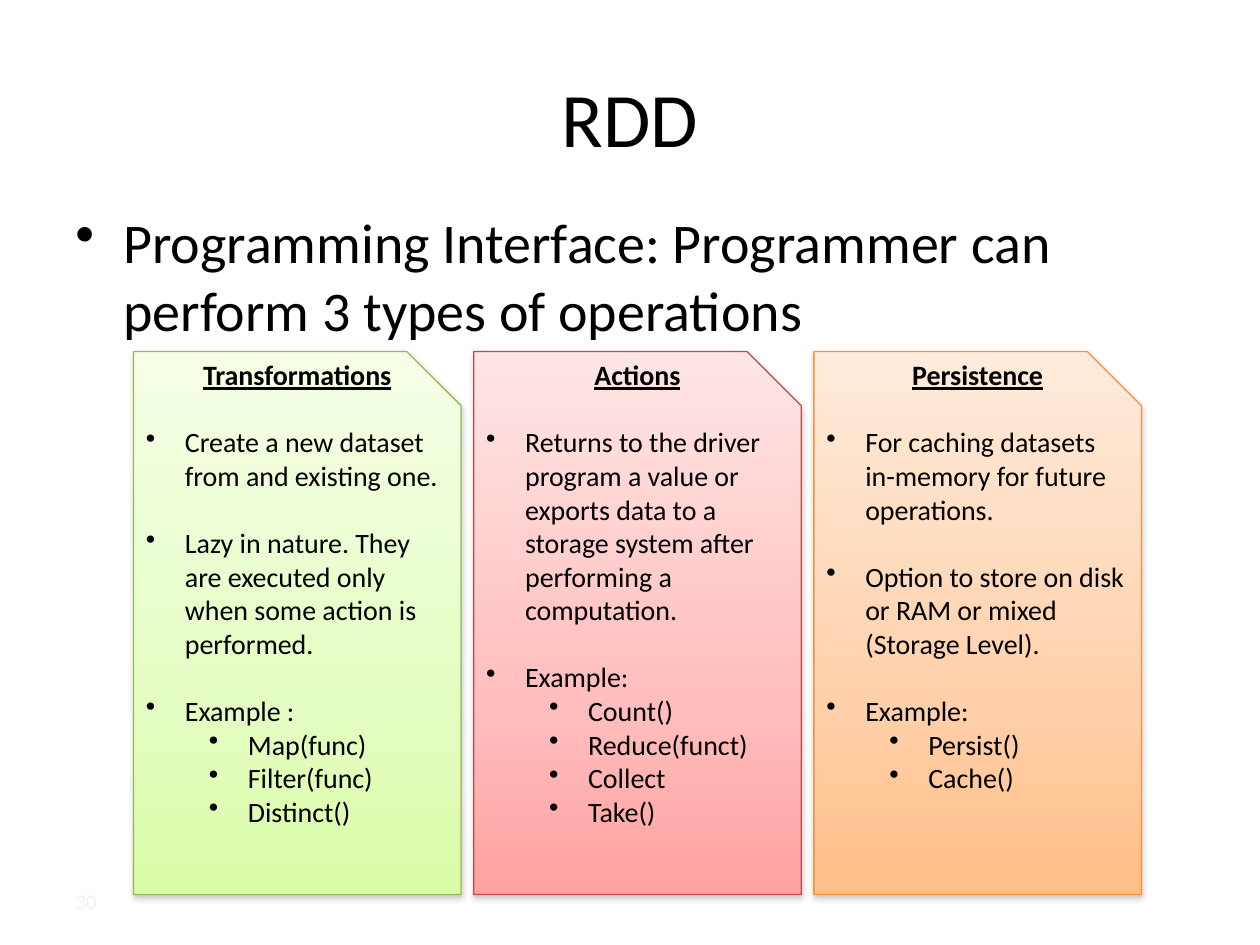
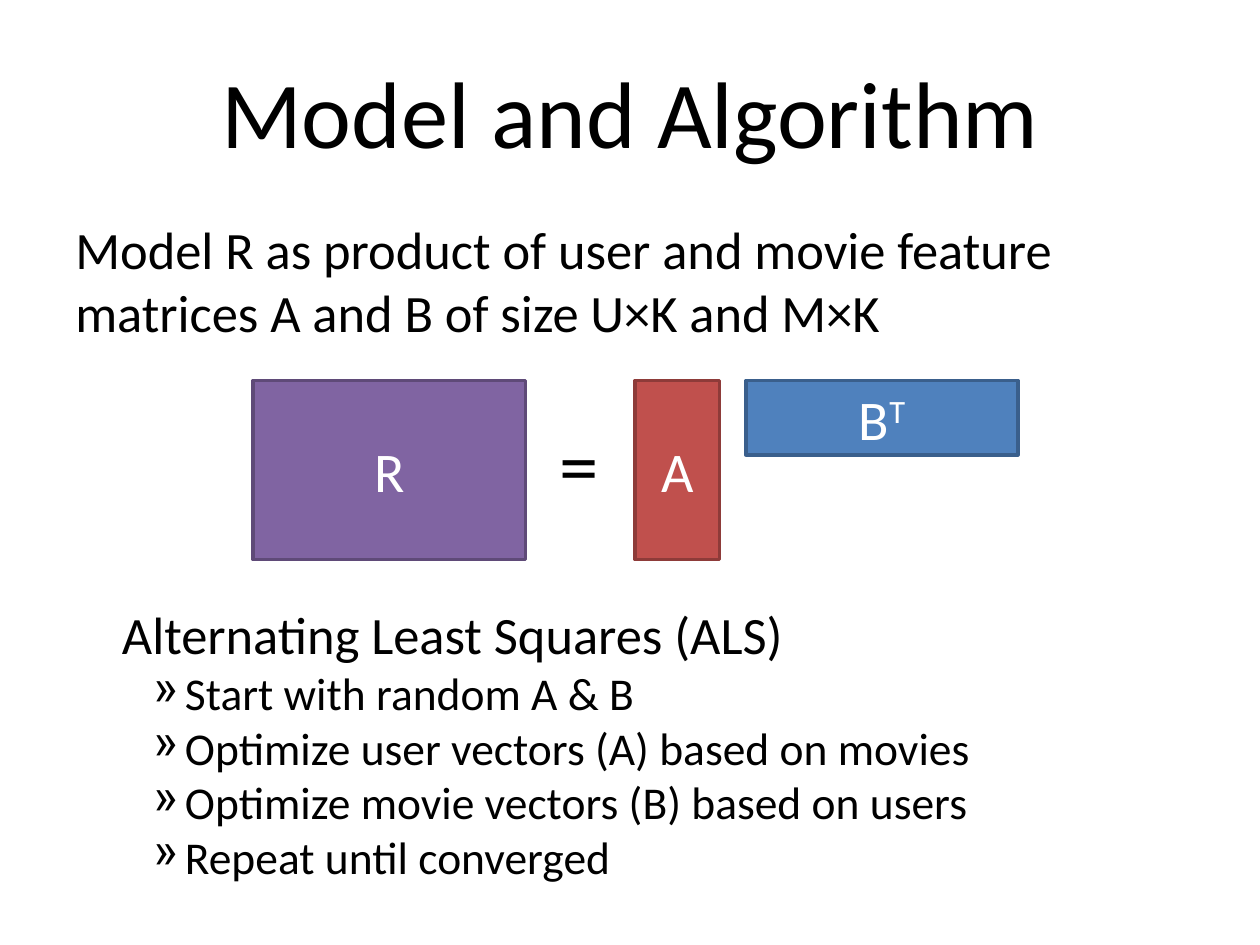
"""Build two slides: RDD operations and the ALS matrix factorisation model."""
from copy import deepcopy
from dataclasses import dataclass

from lxml import etree
from pptx import Presentation
from pptx.dml.color import RGBColor
from pptx.enum.shapes import MSO_SHAPE
from pptx.enum.text import MSO_ANCHOR, PP_ALIGN
from pptx.oxml.ns import qn
from pptx.util import Inches, Pt

RECT = MSO_SHAPE.RECTANGLE
TOP, MIDDLE = MSO_ANCHOR.TOP, MSO_ANCHOR.MIDDLE
LEFT, CENTER = PP_ALIGN.LEFT, PP_ALIGN.CENTER

FONT = "Calibri"
TITLE_ONLY = 5
COLORS = {
    "text": "000000",
    "white": "FFFFFF",
    "number": "F2F2F2",
    "shadow": "808080",
    "purple": "8064A2",
    "purple_line": "5F4A78",
    "red": "C0504D",
    "red_line": "8E3B39",
    "blue": "4F81BD",
    "blue_line": "3A5F8C",
    "card_green": "98B954",
    "card_red": "BE4B48",
    "card_orange": "F69240",
}
GRADIENTS = {
    "card_green": ("F5FFE6", "E4FDC2", "DAFDA7"),
    "card_red": ("FFE5E5", "FFBEBD", "FFA2A1"),
    "card_orange": ("FFEBDB", "FFD0AA", "FFBE86"),
}
GRADIENT_POSITIONS = (0, 0.65, 1)

CARD_LEFT, CARD_TOP, CARD_STEP = 1.06, 2.79, 2.7
CARD_WIDTH, CARD_HEIGHT, CARD_SNIP = 2.6, 4.31, 0.43
CARD_SIZE, CARD_GAP = 16, 19.2
MATRIX_TOP = 3.02


@dataclass
class Para:
    text: str
    size: float
    margin: float = 0
    hang: float = 0
    bullet: str = ""
    before: float = 0
    align: PP_ALIGN = LEFT
    heading: bool = False
    color: str = "text"


@dataclass
class Card:
    heading: str
    color: str
    points: list[str]
    examples: list[str]


@dataclass
class Matrix:
    name: str
    power: str
    color: str
    left: float
    width: float
    height: float


CARDS = [
    Card("Transformations", "card_green",
         ["Create a new dataset from and existing one.",
          "Lazy in nature. They are executed only when some action is performed.",
          "Example :"],
         ["Map(func)", "Filter(func)", "Distinct()"]),
    Card("Actions", "card_red",
         ["Returns to the driver program a value or exports data to a storage system "
          "after performing a computation.",
          "Example:"],
         ["Count()", "Reduce(funct)", "Collect", "Take()"]),
    Card("Persistence", "card_orange",
         ["For caching datasets in-memory for future operations.",
          "Option to store on disk or RAM or mixed (Storage Level).",
          "Example:"],
         ["Persist()", "Cache()"]),
]
MATRICES = [
    Matrix("R", "", "purple", 2.01, 2.16, 1.42),
    Matrix("A", "", "red", 5.04, 0.67, 1.42),
    Matrix("B", "T", "blue", 5.92, 2.16, 0.59),
]
ALS_STEPS = [
    "Start with random A & B",
    "Optimize user vectors (A) based on movies",
    "Optimize movie vectors (B) based on users",
    "Repeat until converged",
]


def rgb(name: str) -> RGBColor:
    return RGBColor.from_string(COLORS[name])


def style_runs(p, size: float, color: str, heading: bool = False) -> None:
    for r in p.runs:
        r.font.name = FONT
        r.font.size = Pt(size)
        r.font.color.rgb = rgb(color)
        r.font.bold = r.font.underline = heading


def write_paras(tf, paras: list[Para], anchor: MSO_ANCHOR = TOP, wrap: bool = True) -> None:
    tf.word_wrap = wrap
    tf.vertical_anchor = anchor
    for i, para in enumerate(paras):
        p = tf.add_paragraph() if i else tf.paragraphs[0]
        p.text = para.text
        p.alignment = para.align
        if para.before:
            p.space_before = Pt(para.before)
        if para.bullet:
            pPr = p._p.get_or_add_pPr()
            pPr.set("marL", str(Inches(para.margin)))
            pPr.set("indent", str(-Inches(para.hang)))
            etree.SubElement(pPr, qn("a:buChar")).set("char", para.bullet)
        style_runs(p, para.size, para.color, para.heading)


def add_text(s, left: float, top: float, width: float, height: float,
             paras: list[Para], anchor: MSO_ANCHOR = TOP, wrap: bool = True) -> None:
    box = s.shapes.add_textbox(Inches(left), Inches(top), Inches(width), Inches(height))
    write_paras(box.text_frame, paras, anchor, wrap)


def add_slide(prs, title: str, top: float, size: float):
    s = prs.slides.add_slide(prs.slide_layouts[TITLE_ONLY])
    sp = s.shapes.title
    sp.left, sp.top, sp.width, sp.height = Inches(0.5), Inches(top), Inches(9), Inches(1.25)
    write_paras(sp.text_frame, [Para(title, size, align=CENTER)], MIDDLE)
    return s


def add_shadow(sp) -> None:
    sp.shadow.inherit = False
    effects = sp._element.spPr.find(qn("a:effectLst"))
    shadow = etree.SubElement(effects, qn("a:outerShdw"), blurRad=str(Pt(3.1)),
                              dist=str(Pt(1.6)), dir="5400000", rotWithShape="0")
    color = etree.SubElement(shadow, qn("a:srgbClr"), val=COLORS["shadow"])
    etree.SubElement(color, qn("a:alpha"), val="38000")


def fill_gradient(sp, colors: tuple[str, ...]) -> None:
    sp.fill.gradient()
    sp.fill.gradient_angle = 270
    stop_list = sp._element.spPr.find(".//" + qn("a:gsLst"))
    stop_list.append(deepcopy(stop_list[0]))
    for stop, position, color in zip(sp.fill.gradient_stops, GRADIENT_POSITIONS, colors):
        stop.position = position
        stop.color.rgb = RGBColor.from_string(color)


def add_card(s, card: Card, left: float) -> None:
    right, bottom = left + CARD_WIDTH, CARD_TOP + CARD_HEIGHT
    corners = [(right - CARD_SNIP, CARD_TOP), (right, CARD_TOP + CARD_SNIP),
               (right, bottom), (left, bottom)]
    builder = s.shapes.build_freeform(Inches(left), Inches(CARD_TOP))
    builder.add_line_segments([(Inches(x), Inches(y)) for x, y in corners])
    sp = builder.convert_to_shape()
    fill_gradient(sp, GRADIENTS[card.color])
    sp.line.color.rgb = rgb(card.color)
    sp.line.width = Pt(0.75)
    add_shadow(sp)
    paras = [Para(card.heading, CARD_SIZE, align=CENTER, heading=True)]
    paras += [Para(t, CARD_SIZE, 0.31, 0.31, "•", CARD_GAP) for t in card.points]
    paras += [Para(t, CARD_SIZE, 0.81, 0.31, "•") for t in card.examples]
    write_paras(sp.text_frame, paras)


def add_matrix(s, matrix: Matrix) -> None:
    sp = s.shapes.add_shape(RECT, Inches(matrix.left), Inches(MATRIX_TOP),
                            Inches(matrix.width), Inches(matrix.height))
    sp.shadow.inherit = False
    sp.fill.solid()
    sp.fill.fore_color.rgb = rgb(matrix.color)
    sp.line.color.rgb = rgb(matrix.color + "_line")
    sp.line.width = Pt(2)
    write_paras(sp.text_frame, [Para(matrix.name, 32, align=CENTER, color="white")], MIDDLE)
    if matrix.power:
        p = sp.text_frame.paragraphs[0]
        r = p.add_run()
        r.text = matrix.power
        style_runs(p, 32, "white")
        r.font._element.set("baseline", "30000")


def build_rdd(prs) -> None:
    s = add_slide(prs, "RDD", 0.3, 44)
    add_text(s, 0.5, 1.6, 9, 1.22, [
        Para("Programming Interface: Programmer can perform 3 types of operations",
             32, 0.38, 0.38, "•")])
    add_text(s, 0.5, 6.95, 2.33, 0.4, [Para("30", 12, color="number")], MIDDLE)
    for i, card in enumerate(CARDS):
        add_card(s, card, CARD_LEFT + i * CARD_STEP)


def build_model(prs) -> None:
    s = add_slide(prs, "Model and Algorithm", 0.25, 54)
    add_text(s, 0.5, 1.67, 9, 1.28, [
        Para("Model R as product of user and movie feature matrices A and B "
             "of size U×K and M×K", 30)])
    add_text(s, 0.87, 4.73, 9, 2.58,
             [Para("Alternating Least Squares (ALS)", 30)]
             + [Para(step, 26, 0.5, 0.25, "»") for step in ALS_STEPS])
    for matrix in MATRICES:
        add_matrix(s, matrix)
    add_text(s, 4.34, 3.25, 0.68, 0.86, [Para("=", 45)], wrap=False)


def main() -> None:
    prs = Presentation()
    prs.slide_width, prs.slide_height = Inches(10), Inches(7.5)
    build_rdd(prs)
    build_model(prs)
    prs.save("out.pptx")


if __name__ == "__main__":
    main()
